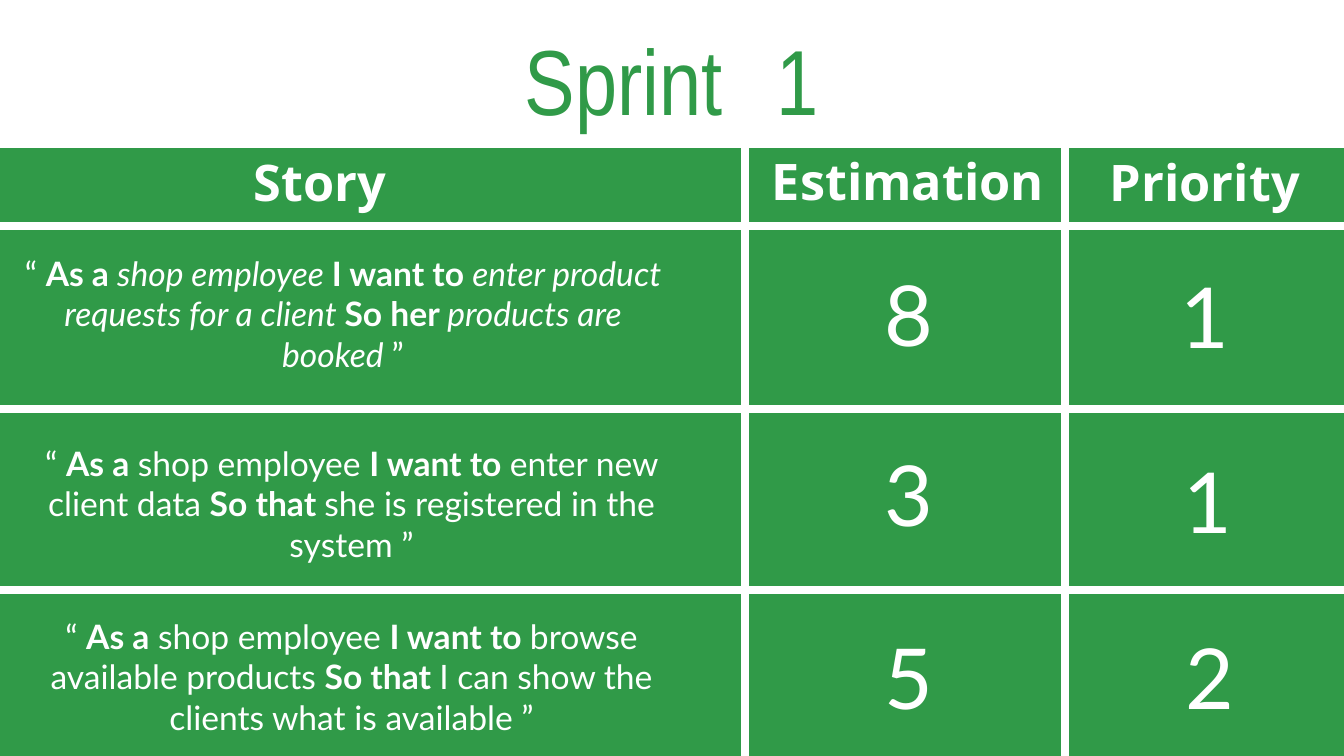
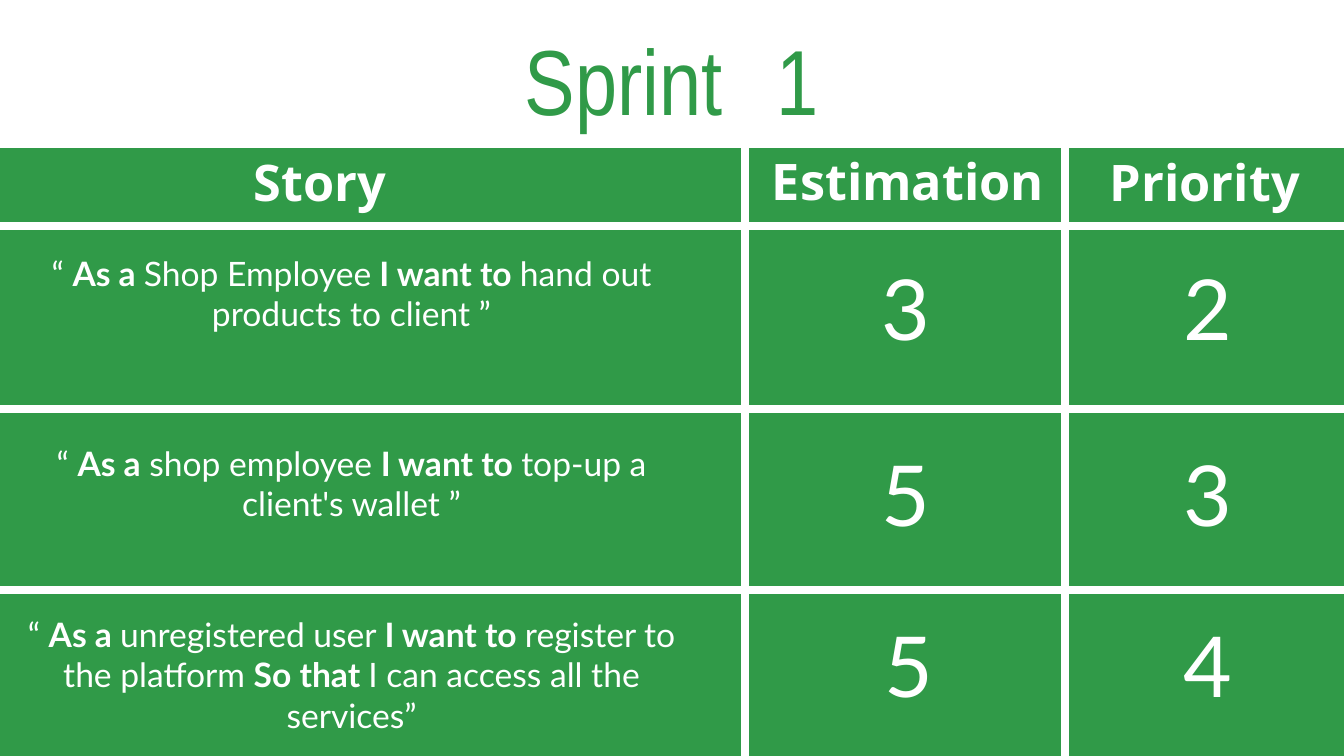
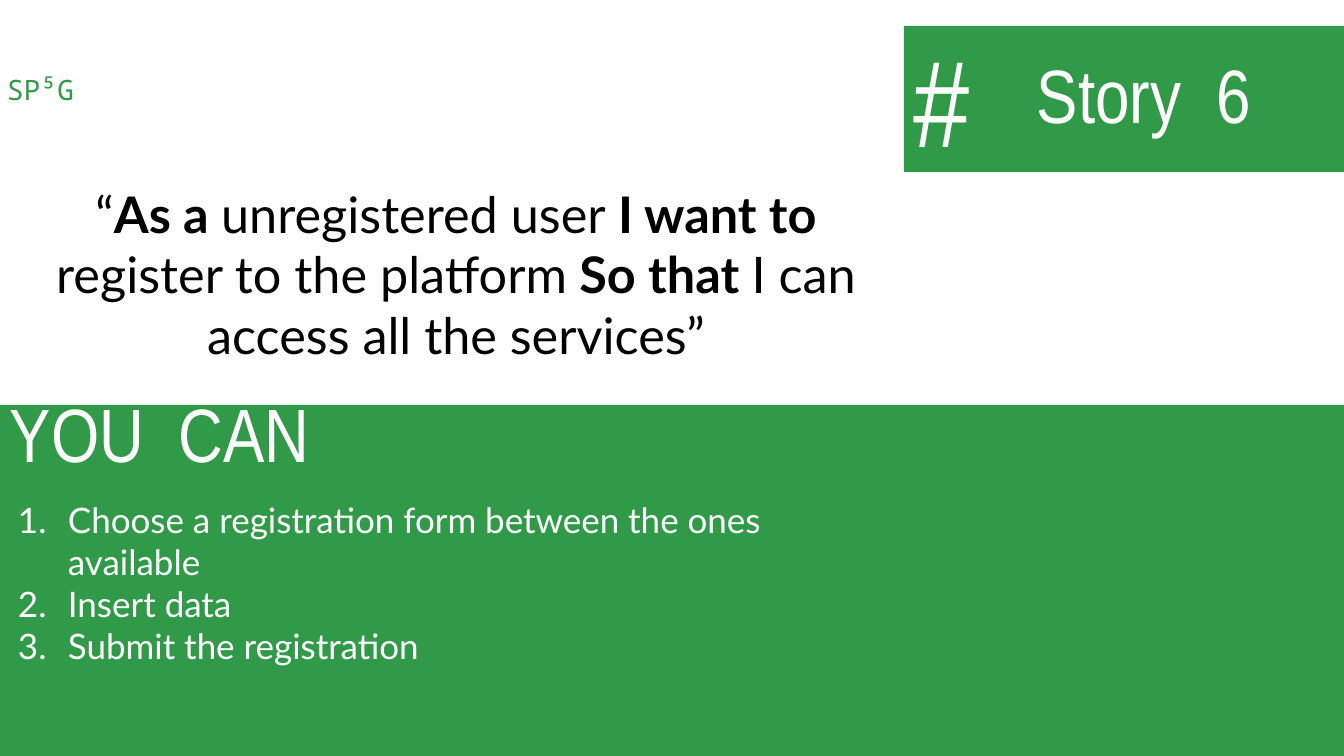
from dataclasses import dataclass
from typing import Any

from pptx import Presentation
from pptx.dml.color import RGBColor
from pptx.enum import shapes, text
from pptx.oxml import ns
from pptx import util as u
from lxml import etree

GREEN = RGBColor(0x30, 0x9A, 0x48)
WHITE = RGBColor(0xFF, 0xFF, 0xFF)
BLACK = RGBColor(0x00, 0x00, 0x00)

DISPLAY = "Arial Narrow"
HEADING = "Open Sans"
BODY = "Lato"
MONO = "Noto Sans Mono"

WIDTH, HEIGHT = 1344, 756
EMU_PER_PIXEL = 914400 / 100.8
LEFT, CENTER = text.PP_ALIGN.LEFT, text.PP_ALIGN.CENTER
TOP, MIDDLE, BOTTOM = (
    text.MSO_ANCHOR.TOP,
    text.MSO_ANCHOR.MIDDLE,
    text.MSO_ANCHOR.BOTTOM,
)


@dataclass(frozen=True)
class Box:
    left: int
    top: int
    width: int
    height: int

    def emu(self) -> tuple[u.Emu, ...]:
        return tuple(map(px, (self.left, self.top, self.width, self.height)))


@dataclass(frozen=True)
class Heading:
    label: str
    box: Box
    spacing: float = 0.9


@dataclass(frozen=True)
class Score:
    value: int
    left: int
    top: int


@dataclass(frozen=True)
class Row:
    story: str
    box: Box
    estimation: Score
    priority: Score


HEADINGS = (
    Heading("Story", Box(244, 158, 198, 62), spacing=0.8),
    Heading("Estimation", Box(762, 152, 293, 84)),
    Heading("Priority", Box(1100, 153, 244, 74)),
)
COLUMN_RULES = (745, 1065)
ROW_RULES = (226, 409, 590)
RULE_TOP = 126

SPRINTS = (
    (
        Row(
            "“ *As a *_shop employee _*I want to *_enter product requests for a client _"
            "*So her *_products are booked _”",
            Box(14, 248, 658, 132), Score(8, 846, 258), Score(1, 1142, 260),
        ),
        Row(
            "“ *As a* shop employee *I want to *enter new client data "
            "*So that *she is registered in the system ”",
            Box(14, 438, 675, 132), Score(3, 846, 438), Score(1, 1145, 445),
        ),
        Row(
            "“ *As a* shop employee *I want to *browse available products "
            "*So that *I can show the clients what is available ”",
            Box(14, 611, 675, 132), Score(5, 846, 621), Score(2, 1147, 621),
        ),
    ),
    (
        Row(
            "“ *As a *Shop Employee* I want to *hand out products to client ”",
            Box(14, 248, 675, 92), Score(3, 843, 252), Score(2, 1145, 252),
        ),
        Row(
            "“ *As a* shop employee *I want to *top-up a client's wallet ”",
            Box(14, 438, 675, 92), Score(5, 843, 438), Score(3, 1145, 438),
        ),
        Row(
            "“ *As a *unregistered user *I want to *register to the platform "
            "*So that *I can access all the services”",
            Box(14, 609, 675, 132), Score(5, 846, 609), Score(4, 1145, 609),
        ),
    ),
)


def px(pixels: int) -> u.Emu:
    return u.Emu(round(pixels * EMU_PER_PIXEL))


def add_runs(paragraph: Any, words: str, font: str, size: int, color: RGBColor, bold: bool) -> None:
    for i, strong in enumerate(words.split("*")):
        for j, part in enumerate(strong.split("_")):
            if part:
                run = paragraph.add_run()
                run.text = part
                run.font.name = font
                run.font.size = u.Pt(size)
                run.font.color.rgb = color
                run.font.bold = bold or i % 2 == 1
                run.font.italic = j % 2 == 1


def number_paragraph(paragraph: Any, indent: int) -> None:
    properties = paragraph._p.get_or_add_pPr()
    properties.set("marL", str(px(indent)))
    properties.set("indent", str(-px(indent)))
    numbering = etree.SubElement(properties, ns.qn("a:buAutoNum"))
    numbering.set("type", "arabicPeriod")


def write(
    shape: Any,
    words: str,
    *,
    font: str = BODY,
    size: int = 24,
    color: RGBColor = WHITE,
    bold: bool = False,
    align: Any = LEFT,
    anchor: Any = TOP,
    spacing: float = 1.0,
    before: int = 0,
    inset_x: int = 10,
    inset_y: int = 5,
    numbered: bool = False,
) -> None:
    frame = shape.text_frame
    frame.word_wrap = True
    frame.auto_size = text.MSO_AUTO_SIZE.NONE
    frame.vertical_anchor = anchor
    frame.margin_left = frame.margin_right = px(inset_x)
    frame.margin_top = frame.margin_bottom = px(inset_y)
    for index, line in enumerate(words.split("\n")):
        paragraph = frame.add_paragraph() if index else frame.paragraphs[0]
        paragraph.alignment = align
        paragraph.line_spacing = spacing
        paragraph.space_before = u.Pt(before)
        if numbered:
            number_paragraph(paragraph, 50)
        add_runs(paragraph, line, font, size, color, bold)


def add_text(slide: Any, box: Box, words: str, **style: Any) -> None:
    write(slide.shapes.add_textbox(*box.emu()), words, **style)


def add_title(slide: Any, box: Box, words: str, **style: Any) -> Any:
    title = slide.shapes.title
    title.left, title.top, title.width, title.height = box.emu()
    title.element.getparent().append(title.element)
    write(title, words, font=DISPLAY, spacing=0.9, **style)
    return title


def add_band(slide: Any, box: Box) -> None:
    band = slide.shapes.add_shape(shapes.MSO_SHAPE.RECTANGLE, *box.emu())
    band.shadow.inherit = False
    band.fill.solid()
    band.fill.fore_color.rgb = GREEN
    band.line.fill.background()


def add_rule(slide: Any, x1: int, y1: int, x2: int, y2: int) -> None:
    rule = slide.shapes.add_connector(
        shapes.MSO_CONNECTOR.STRAIGHT, px(x1), px(y1), px(x2), px(y2)
    )
    rule.line.color.rgb = WHITE
    rule.line.width = u.Pt(6)
    etree.SubElement(rule.element.spPr, ns.qn("a:effectLst"))


def add_slide(presentation: Any, background: RGBColor) -> Any:
    slide = presentation.slides.add_slide(presentation.slide_layouts[5])
    slide.background.fill.solid()
    slide.background.fill.fore_color.rgb = background
    return slide


def build_sprint(presentation: Any, rows: tuple[Row, ...]) -> None:
    slide = add_slide(presentation, GREEN)
    title = add_title(
        slide, Box(0, 0, WIDTH, 148), "Sprint \t1",
        size=66, color=GREEN, align=CENTER, anchor=BOTTOM, inset_y=12,
    )
    title.fill.solid()
    title.fill.fore_color.rgb = WHITE
    for x in COLUMN_RULES:
        add_rule(slide, x, RULE_TOP, x, HEIGHT)
    for y in ROW_RULES:
        add_rule(slide, 0, y, WIDTH, y)
    for heading in HEADINGS:
        add_text(
            slide, heading.box, heading.label,
            font=HEADING, size=36, bold=True, spacing=heading.spacing, before=10,
        )
    for row in rows:
        add_text(slide, row.box, row.story, align=CENTER)
        for score in (row.estimation, row.priority):
            box = Box(score.left, score.top, 126, 112)
            add_text(slide, box, str(score.value), size=60, align=CENTER)


def build_story(presentation: Any) -> None:
    slide = add_slide(presentation, WHITE)
    add_band(slide, Box(904, 26, 440, 146))
    add_band(slide, Box(0, 405, WIDTH, 351))
    add_title(slide, Box(1027, 26, 317, 146), "Story  6", size=54, anchor=MIDDLE)
    add_text(slide, Box(904, 19, 163, 159), "#", font=DISPLAY, size=88)
    add_text(
        slide, Box(0, 68, 81, 44), "SP⁵G",
        font=MONO, size=20, color=GREEN, align=CENTER, inset_x=0,
    )
    add_text(
        slide, Box(8, 178, 896, 194),
        "“*As a *unregistered user* I want to *register to the platform"
        "* So that *I can access all the services”",
        size=36, color=BLACK, align=CENTER,
    )
    add_text(
        slide, Box(0, 365, 332, 146), "YOU  CAN",
        font=DISPLAY, size=54, anchor=MIDDLE, spacing=0.9,
    )
    add_text(
        slide, Box(8, 494, 896, 137),
        "Choose a registration form between the ones available\n"
        "Insert data\nSubmit the registration",
        size=25, numbered=True,
    )


def main() -> None:
    presentation = Presentation()
    presentation.slide_width, presentation.slide_height = px(WIDTH), px(HEIGHT)
    for rows in SPRINTS:
        build_sprint(presentation, rows)
    build_story(presentation)
    presentation.save("out.pptx")


main()
